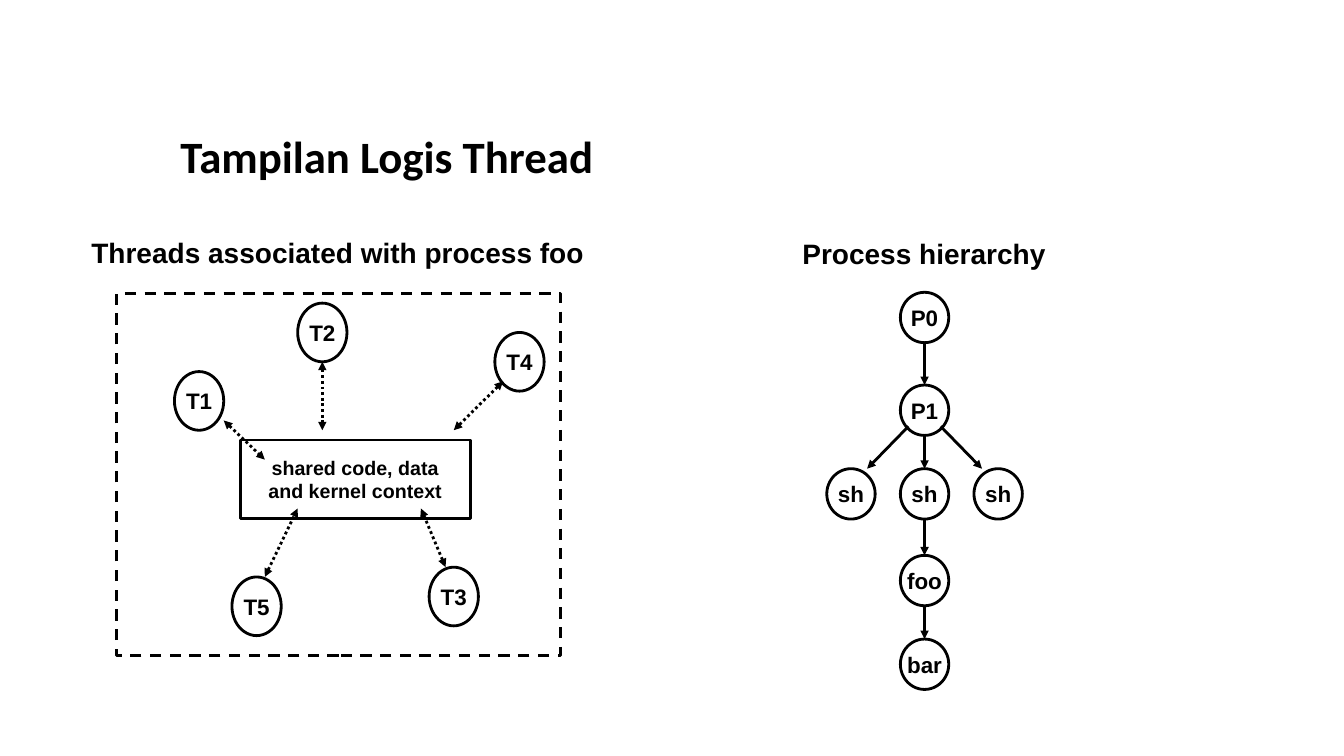
from dataclasses import dataclass

from lxml import etree
from pptx import Presentation
from pptx.dml.color import RGBColor
from pptx.enum.dml import MSO_LINE as Dash
from pptx.enum.shapes import MSO_CONNECTOR as Connector, MSO_SHAPE as Shape
from pptx.enum.text import MSO_ANCHOR as Anchor, MSO_AUTO_SIZE as AutoSize, PP_ALIGN as Align
from pptx.oxml.ns import qn
from pptx.util import Inches, Pt

TITLE = "Tampilan Logis Thread"
HEADINGS = [  # text, box in inches
    ("Threads associated with process foo", (0.79, 2.28, 5.12, 0.44)),
    ("Process hierarchy", (7.85, 2.29, 2.63, 0.44)),
]

# Thread panel, in cells of a 54 x 37 grid
SHARED = (["shared code, data", "and kernel context"], (15, 15, 28, 8))
THREADS = [  # name, top-left cell, arrow end at thread, arrow end at shared box
    ("T1", (7, 8), (13, 13), (18, 17)),
    ("T2", (22, 1), (25, 7), (25, 14)),
    ("T4", (46, 4), (47, 9), (41, 14)),
    ("T5", (14, 29), (18, 29), (22, 22)),
    ("T3", (38, 28), (40, 28), (37, 22)),
]

# Process tree: name, column, row, index of parent
PROCESSES = [
    ("P0", 0, 0, None),
    ("P1", 0, 1, 0),
    ("sh", -1, 2, 1),
    ("sh", 0, 2, 1),
    ("sh", 1, 2, 1),
    ("foo", 0, 3, 3),
    ("bar", 0, 4, 5),
]


@dataclass(frozen=True)
class Theme:
    ink: RGBColor = RGBColor(0, 0, 0)
    paper: RGBColor = RGBColor(255, 255, 255)
    title_font: str = "Calibri"
    body_font: str = "Arial"
    title: int = 32
    heading: int = 20
    node: int = 16
    shared: int = 14
    line: int = 2


THEME = Theme()

SLIDE_SIZE = (13.33, 7.5)
TITLE_BOX = (1.69, 1.13, 10.66, 0.89)
FRAME = (1.16, 2.91, 4.4, 3.59)
FRAME_GRID = (54, 37)
THREAD_CELLS = (6, 6)
TREE_CENTRE, TREE_PITCH = 9.17, 0.73
TREE_ROWS = [2.9, 3.82, 4.65, 5.51, 6.34]
NODE_W, NODE_H = 0.48, 0.5
BRANCH_SHIFT, BRANCH_RISE = 0.16, 0.09


def inches(values):
    return [Inches(value) for value in values]


def write(frame, lines, size, font=THEME.body_font, align=Align.CENTER, wrap=False, spacing=None):
    frame.word_wrap = wrap
    frame.vertical_anchor = Anchor.MIDDLE
    for index, line in enumerate(lines):
        paragraph = frame.add_paragraph() if index else frame.paragraphs[0]
        paragraph.alignment = align
        paragraph.line_spacing = spacing
        run = paragraph.add_run()
        run.text = line
        run.font.name, run.font.size, run.font.bold = font, Pt(size), True
        run.font.color.rgb = THEME.ink


def outline(line, dash=None):
    line.color.rgb = THEME.ink
    line.width = Pt(THEME.line)
    if dash:
        line.dash_style = dash


def add_node(shapes, kind, box, lines=(), size=THEME.node, dash=None):
    """Outlined shape: filled when it has text, see-through otherwise."""
    node = shapes.add_shape(kind, *inches(box))
    node.shadow.inherit = False
    outline(node.line, dash)
    if lines:
        node.fill.solid()
        node.fill.fore_color.rgb = THEME.paper
        write(node.text_frame, lines, size)
    else:
        node.fill.background()


def add_arrow(shapes, start, end, dash=None, ends=("tailEnd",)):
    arrow = shapes.add_connector(Connector.STRAIGHT, *inches((*start, *end)))
    outline(arrow.line, dash)
    line = arrow.line._get_or_add_ln()
    for tip in ends:
        etree.SubElement(line, qn(f"a:{tip}"), type="triangle")
    etree.SubElement(arrow._element.spPr, qn("a:effectLst"))


def frame_point(cell):
    left, top, width, height = FRAME
    columns, rows = FRAME_GRID
    return left + cell[0] * width / columns, top + cell[1] * height / rows


def frame_box(column, row, columns, rows):
    left, top = frame_point((column, row))
    right, bottom = frame_point((column + columns, row + rows))
    return left, top, right - left, bottom - top


def draw_threads(shapes):
    add_node(shapes, Shape.RECTANGLE, FRAME, dash=Dash.DASH)
    for name, cell, _, _ in THREADS:
        add_node(shapes, Shape.OVAL, frame_box(*cell, *THREAD_CELLS), [name])
    lines, cells = SHARED
    add_node(shapes, Shape.RECTANGLE, frame_box(*cells), lines, THEME.shared)
    for _, _, thread_end, shared_end in THREADS:
        add_arrow(shapes, frame_point(thread_end), frame_point(shared_end),
                  Dash.ROUND_DOT, ("headEnd", "tailEnd"))


def draw_processes(shapes):
    for name, column, row, parent in PROCESSES:
        centre, top = TREE_CENTRE + column * TREE_PITCH, TREE_ROWS[row]
        add_node(shapes, Shape.OVAL, (centre - NODE_W / 2, top, NODE_W, NODE_H), [name])
        if parent is None:
            continue
        _, parent_column, parent_row, _ = PROCESSES[parent]
        side = column - parent_column
        start = (TREE_CENTRE + parent_column * TREE_PITCH + side * BRANCH_SHIFT,
                 TREE_ROWS[parent_row] + NODE_H - abs(side) * BRANCH_RISE)
        add_arrow(shapes, start, (centre - side * BRANCH_SHIFT, top))


def main():
    deck = Presentation()
    deck.slide_width, deck.slide_height = inches(SLIDE_SIZE)
    slide = deck.slides.add_slide(deck.slide_layouts[5])

    title = slide.shapes.title
    title.left, title.top, title.width, title.height = inches(TITLE_BOX)
    write(title.text_frame, [TITLE], THEME.title, THEME.title_font, Align.LEFT, True, 0.9)

    draw_threads(slide.shapes.add_group_shape().shapes)
    draw_processes(slide.shapes.add_group_shape().shapes)
    for text, box in HEADINGS:
        heading = slide.shapes.add_textbox(*inches(box)).text_frame
        write(heading, [text], THEME.heading)
        heading.auto_size = AutoSize.SHAPE_TO_FIT_TEXT

    deck.save("out.pptx")


if __name__ == "__main__":
    main()
